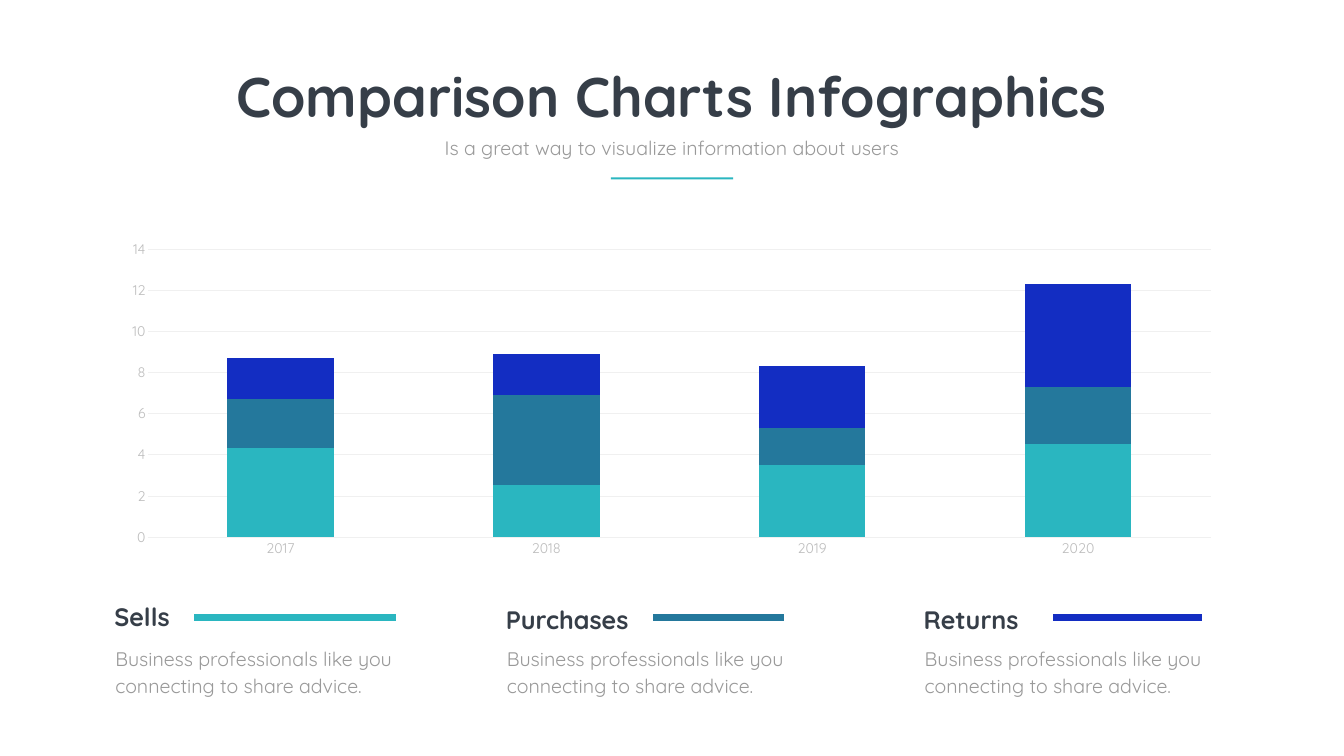
from lxml.etree import SubElement
from pptx import Presentation
from pptx.chart.data import CategoryChartData
from pptx.dml.color import RGBColor
from pptx.enum.chart import XL_CHART_TYPE, XL_TICK_MARK
from pptx.enum.shapes import MSO_CONNECTOR, MSO_SHAPE
from pptx.enum.text import MSO_ANCHOR, MSO_AUTO_SIZE, PP_ALIGN
from pptx.oxml.ns import qn
from pptx.util import Inches, Pt

HUE = {"dark": "363E48", "gray": "999999", "tick": "BDBDBD", "grid": "F0F0F0",
       "teal": "2AB6C0", "steel": "24789C", "blue": "132DC2"}
HEAD = {"size": Pt(36), "bold": True}
BODY = {"size": Pt(28), "bold": False}


def style(font, hue, form):
    for key, val in {"name": "Quicksand", **form}.items():
        setattr(font, key, val)
    font.color.rgb = RGBColor.from_string(HUE[hue])


def write(box, text, hue, form, align=PP_ALIGN.LEFT, wrap=True, gap=None):
    frame = box.text_frame
    frame.text = text
    frame.word_wrap = wrap
    frame.auto_size = MSO_AUTO_SIZE.NONE
    frame.vertical_anchor = MSO_ANCHOR.TOP
    para = frame.paragraphs[0]
    para.alignment = align
    if gap:
        para.line_spacing = gap
    style(para.runs[0].font, hue, form)


deck = Presentation()
deck.slide_width, deck.slide_height = Inches(26.67), Inches(15)
slide = deck.slides.add_slide(deck.slide_layouts[5])
shapes = slide.shapes

# Title, subtitle and rule
title = shapes.title
spot = {"left": 4.47, "top": 1.17, "width": 17.71, "height": 1.45}
for key, val in spot.items():
    setattr(title, key, Inches(val))
write(title, "Comparison Charts Infographics", "dark",
      {"size": Pt(80), "bold": True}, PP_ALIGN.CENTER, False)
box = shapes.add_textbox(Inches(8.55), Inches(2.65), Inches(9.56), Inches(0.57))
write(box, "Is a great way to visualize information about users", "gray",
      BODY, PP_ALIGN.CENTER)
rule = shapes.add_shape(MSO_SHAPE.RECTANGLE, Inches(12.12), Inches(3.52),
                        Inches(2.43), Inches(0.04))
rule.shadow.inherit = False
rule.fill.solid()
rule.fill.fore_color.rgb = RGBColor.from_string(HUE["teal"])
rule.line.fill.background()

# Stacked column chart
data = CategoryChartData()
data.categories = ["2017", "2018", "2019", "2020"]
data.add_series("Series 1", (4.3, 2.5, 3.5, 4.5))
data.add_series("Series 2", (2.4, 4.4, 1.8, 2.8))
data.add_series("Series 3", (2, 2, 3, 5))
chart = shapes.add_chart(XL_CHART_TYPE.COLUMN_STACKED, Inches(2.17), Inches(4.64),
                         Inches(22.33), Inches(6.53), data).chart
chart.has_legend = False
chart.has_title = False
style(chart.font, "gray", {"size": Pt(20)})
plot = chart.plots[0]
plot.gap_width, plot.overlap = 150, 100
plot.vary_by_categories = False
for series, hue in zip(plot.series, ("teal", "steel", "blue")):
    series.format.fill.solid()
    series.format.fill.fore_color.rgb = RGBColor.from_string(HUE[hue])

# Axes and grid
cat, val = chart.category_axis, chart.value_axis
for axis in (cat, val):
    axis.major_tick_mark = axis.minor_tick_mark = XL_TICK_MARK.NONE
    style(axis.tick_labels.font, "tick", {"size": Pt(20), "bold": False})
val.minimum_scale, val.maximum_scale, val.major_unit = 0, 14, 2
val.format.line.fill.background()
val.has_major_gridlines = True
for line in (cat.format.line, val.major_gridlines.format.line):
    line.color.rgb = RGBColor.from_string(HUE["grid"])
    line.width = Pt(0.75)

# Fixed inner plot area
area = chart.plots[0]._element.getparent()
for old in area.findall(qn("c:layout")):
    area.remove(old)
lay = SubElement(area, qn("c:layout"))
area.insert(0, lay)
form = SubElement(lay, qn("c:manualLayout"))
for tag, num in {"layoutTarget": "inner", "xMode": "edge", "yMode": "edge",
                 "x": "0.034", "y": "0.046", "w": "0.945", "h": "0.875"}.items():
    SubElement(form, qn(f"c:{tag}")).set("val", num)

# Legend: heading, coloured bar and note
legend = [("Sells", "teal", 2.17, 11.89, 6.83, 3.85, 7.85),
          ("Purchases", "steel", 9.94, 11.95, 6.83, 12.95, 15.55),
          ("Returns", "blue", 18.23, 11.94, 6.25, 20.9, 23.85)]
for name, hue, left, top, width, start, end in legend:
    box = shapes.add_textbox(Inches(left), Inches(top), Inches(4.78), Inches(0.71))
    write(box, name, "dark", HEAD)
    box = shapes.add_textbox(Inches(left + 0.02), Inches(12.71),
                             Inches(width), Inches(1.18))
    write(box, "Business professionals like you connecting to share advice.",
          "gray", BODY, gap=Pt(38.6))
    bar = shapes.add_connector(MSO_CONNECTOR.STRAIGHT, Inches(end), Inches(12.26),
                               Inches(start), Inches(12.26))
    bar.line.color.rgb = RGBColor.from_string(HUE[hue])
    bar.line.width = Pt(10)
    SubElement(bar._element.spPr, qn("a:effectLst"))

deck.save("out.pptx")
